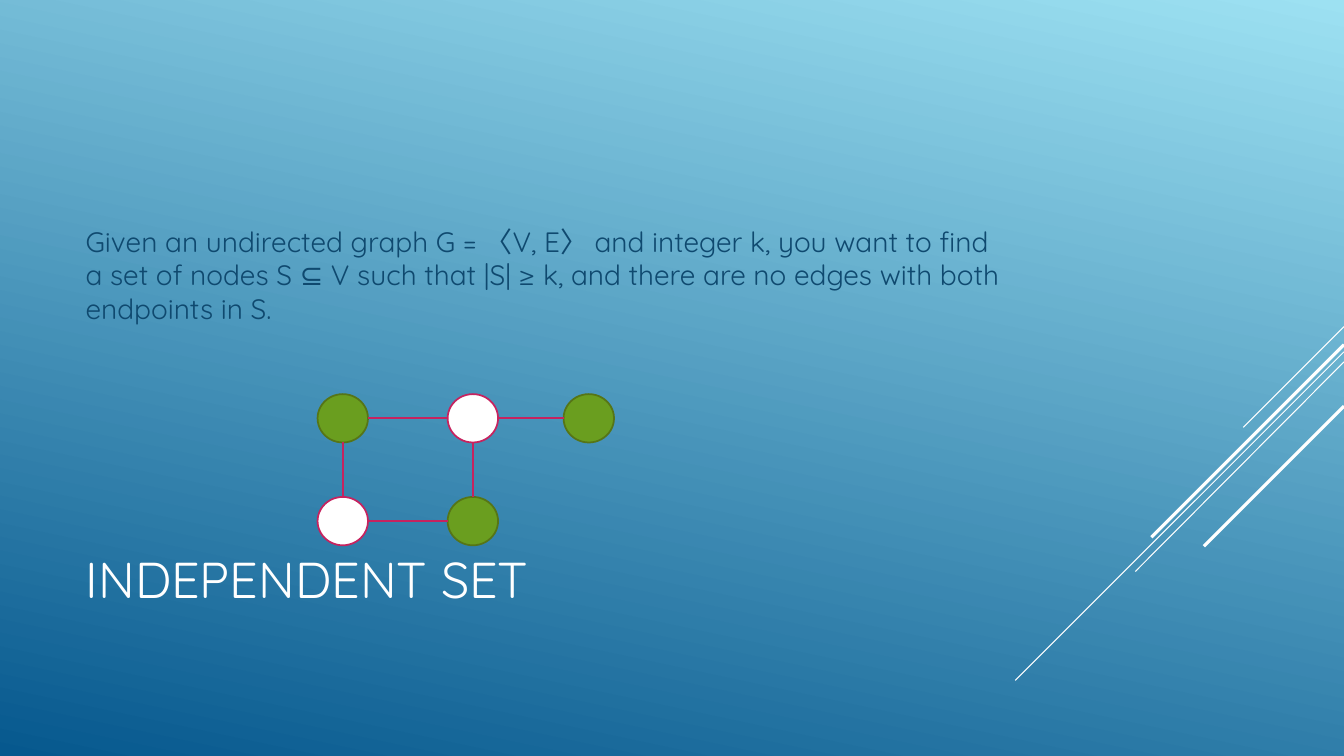
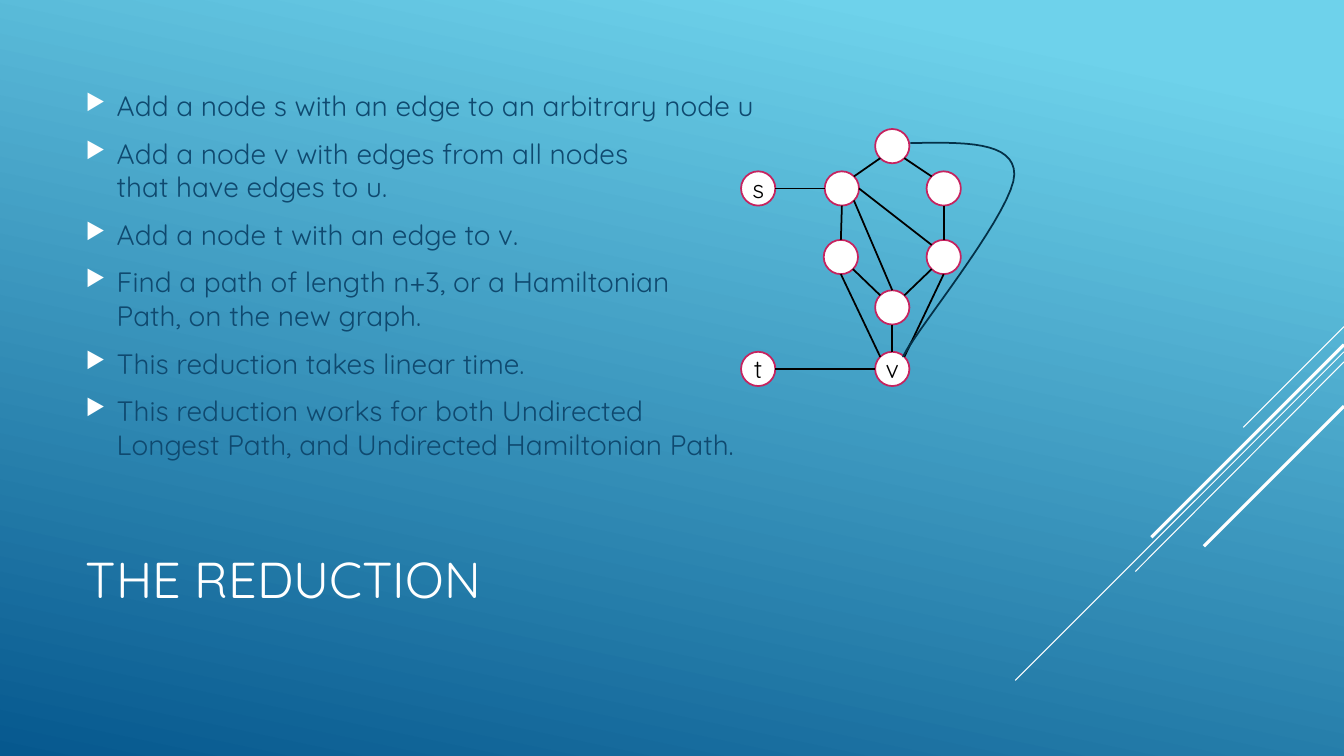
"""Build two slides on graph problems: independent set and the path reduction."""
from lxml.etree import SubElement
from pptx import Presentation
from pptx.dml.color import RGBColor
from pptx.enum.shapes import MSO_CONNECTOR, MSO_SHAPE
from pptx.enum.text import MSO_ANCHOR, MSO_AUTO_SIZE, PP_ALIGN
from pptx.oxml.ns import qn
from pptx.util import Inches, Pt

COLORS = {name: RGBColor.from_string(value) for name, value in {
    "white": "FFFFFF", "black": "000000", "body": "0F496F", "deep": "06588E",
    "pale": "9DE1F2", "sky": "6ED2EB", "green": "6A9E1F", "moss": "567517",
    "pink": "C6235F", "curve": "043148"}.items()}
FONT = "Quicksand"
SLASHES = [
    (3.24, 12.33, 4.24, 0.75), (3.49, 10.07, 6.75, 0.75), (3.59, 11.26, 5.67, 0.75),
    (3.42, 11.42, 5.33, 2.25), (4.03, 11.94, 5.42, 2.25)]
SITES = {"top": (0.5, 0), "bottom": (0.5, 1), "left": (0, 0.5), "right": (1, 0.5),
         "top left": (0.15, 0.15), "top right": (0.85, 0.15),
         "bottom left": (0.15, 0.85), "bottom right": (0.85, 0.85)}
SLIDES = [
    {"title": "INDEPENDENT SET", "top color": "pale", "top stop": 0, "bullets": False,
     "body": ["Given an undirected graph G = 〈V, E〉 and integer k, you want to find a set of "
              "nodes S ⊆ V such that |S| ≥ k, and there are no edges with both endpoints in S."],
     "node size": (0.5, 0.48), "edge color": "pink", "chosen": ["a", "c", "e"], "labeled": [],
     "nodes": {"a": (3.15, 3.91), "b": (4.44, 3.91), "c": (5.59, 3.91),
               "d": (3.15, 4.93), "e": (4.44, 4.93)},
     "edges": [("a", "right", "b", "left"), ("a", "bottom", "d", "top"),
               ("d", "right", "e", "left"), ("e", "top", "b", "bottom"),
               ("b", "right", "c", "left")],
     "curves": []},
    {"title": "THE REDUCTION", "top color": "sky", "top stop": 0.1, "bullets": True,
     "body": ["Add a node s with an edge to an arbitrary node u",
              "Add a node v with edges from all nodes\vthat have edges to u.",
              "Add a node t with an edge to v.",
              "Find a path of length n+3, or a Hamiltonian\vPath, on the new graph.",
              "This reduction takes linear time.",
              "This reduction works for both Undirected\v"
              "Longest Path, and Undirected Hamiltonian Path."],
     "node size": (0.34, 0.34), "edge color": "black", "chosen": [], "labeled": ["s", "t", "v"],
     "nodes": {"u": (8.18, 1.7), "west": (8.17, 2.38), "north": (8.68, 1.28),
               "south": (8.68, 2.88), "northeast": (9.19, 1.7), "east": (9.19, 2.38),
               "s": (7.35, 1.7), "v": (8.68, 3.49), "t": (7.35, 3.49)},
     "edges": [("north", "bottom right", "northeast", "top left"),
               ("northeast", "bottom", "east", "top"),
               ("east", "bottom left", "south", "top right"),
               ("south", "top left", "west", "bottom right"),
               ("west", "top", "u", "bottom"),
               ("u", "top right", "north", "bottom left"),
               ("u", "bottom right", "south", "top"),
               ("u", "right", "east", "top left"),
               ("s", "right", "u", "left"),
               ("west", "bottom", "v", "top left"),
               ("south", "bottom", "v", "top"),
               ("east", "bottom", "v", "top right"),
               ("t", "right", "v", "left")],
     "curves": [[(9.03, 1.42), (9.55, 1.41), (10.06, 1.4), (10.06, 1.73)],
                [(10.06, 1.73), (10.06, 2.06), (9.2, 3.14), (9.03, 3.42)],
                [(9.03, 3.42), (8.86, 3.7), (9.04, 3.39), (9.04, 3.39)]]},
]
CURVE_STEPS = 16


def add_line(slide, start, end, color, width):
    """Draw a straight line between two points in inches."""
    line = slide.shapes.add_connector(
        MSO_CONNECTOR.STRAIGHT, *(Inches(value) for value in (*start, *end)))
    line.line.color.rgb = COLORS[color]
    line.line.width = Pt(width)
    SubElement(line._element.spPr, qn("a:effectLst"))


def style_font(paragraph, size, color):
    """Give every run of a paragraph the deck font."""
    for font in [paragraph.font, *(run.font for run in paragraph.runs)]:
        font.name, font.size, font.color.rgb = FONT, Pt(size), COLORS[color]


deck = Presentation()
deck.slide_width, deck.slide_height = Inches(13.33), Inches(7.5)

for content in SLIDES:
    slide = deck.slides.add_slide(deck.slide_layouts[5])
    backdrop = slide.background.fill
    backdrop.gradient()
    backdrop.gradient_angle = 258
    light, dark = backdrop.gradient_stops
    light.color.rgb, light.position = COLORS[content["top color"]], content["top stop"]
    dark.color.rgb, dark.position = COLORS["deep"], 1

    for top, left, bottom, width in SLASHES:
        add_line(slide, (13.33, top), (left, bottom), "white", width)

    title = slide.shapes.title
    title.left, title.top, title.width, title.height = map(Inches, (0.75, 4.91, 9.33, 1.65))
    title.text_frame.text = content["title"]
    title.text_frame.paragraphs[0].alignment = PP_ALIGN.LEFT
    style_font(title.text_frame.paragraphs[0], 36, "white")

    body = slide.shapes.add_textbox(*map(Inches, (0.75, 0.75, 9.33, 3.95)))
    body.text_frame.text = "\n".join(content["body"])
    for frame in (title.text_frame, body.text_frame):
        frame.word_wrap = True
        frame.auto_size = MSO_AUTO_SIZE.NONE
        frame.vertical_anchor = MSO_ANCHOR.MIDDLE
    for index, paragraph in enumerate(body.text_frame.paragraphs):
        if content["bullets"]:
            properties = paragraph._p.get_or_add_pPr()
            properties.set("marL", str(Inches(0.31)))
            properties.set("indent", str(-Inches(0.31)))
            bullet_color = SubElement(properties, qn("a:buClr"))
            SubElement(bullet_color, qn("a:srgbClr"), val=str(COLORS["white"]))
            SubElement(properties, qn("a:buSzPct"), val="80000")
            SubElement(properties, qn("a:buChar"), char="▶")
        paragraph.space_before = Pt(4 if index else 0)
        paragraph.space_after = Pt(6)
        style_font(paragraph, 20, "body")

    node_width, node_height = content["node size"]
    for name, (left, top) in content["nodes"].items():
        node = slide.shapes.add_shape(
            MSO_SHAPE.OVAL, *map(Inches, (left, top, node_width, node_height)))
        chosen = name in content["chosen"]
        node.shadow.inherit = False
        node.fill.solid()
        node.fill.fore_color.rgb = COLORS["green" if chosen else "white"]
        node.line.color.rgb = COLORS["moss" if chosen else "pink"]
        node.line.width = Pt(1.25)
        if name in content["labeled"]:
            label = node.text_frame
            label.margin_left = label.margin_right = label.margin_top = label.margin_bottom = 0
            label.word_wrap = False
            label.vertical_anchor = MSO_ANCHOR.MIDDLE
            label.text = name
            label.paragraphs[0].alignment = PP_ALIGN.CENTER
            style_font(label.paragraphs[0], 18, "black")

    for start_node, start_site, end_node, end_site in content["edges"]:
        start, end = [
            (content["nodes"][name][0] + SITES[site][0] * node_width,
             content["nodes"][name][1] + SITES[site][1] * node_height)
            for name, site in ((start_node, start_site), (end_node, end_site))]
        add_line(slide, start, end, content["edge color"], 1.25)

    if content["curves"]:
        points = []
        for curve in content["curves"]:
            for step in range(CURVE_STEPS + 1):
                t = step / CURVE_STEPS
                weights = ((1 - t) ** 3, 3 * t * (1 - t) ** 2, 3 * t ** 2 * (1 - t), t ** 3)
                points.append(tuple(
                    Inches(sum(w * point[axis] for w, point in zip(weights, curve)))
                    for axis in (0, 1)))
        builder = slide.shapes.build_freeform(*points[0])
        builder.add_line_segments(points[1:], close=False)
        outer_edge = builder.convert_to_shape()
        outer_edge.shadow.inherit = False
        outer_edge.fill.background()
        outer_edge.line.color.rgb = COLORS["curve"]
        outer_edge.line.width = Pt(1.25)

deck.save("out.pptx")
